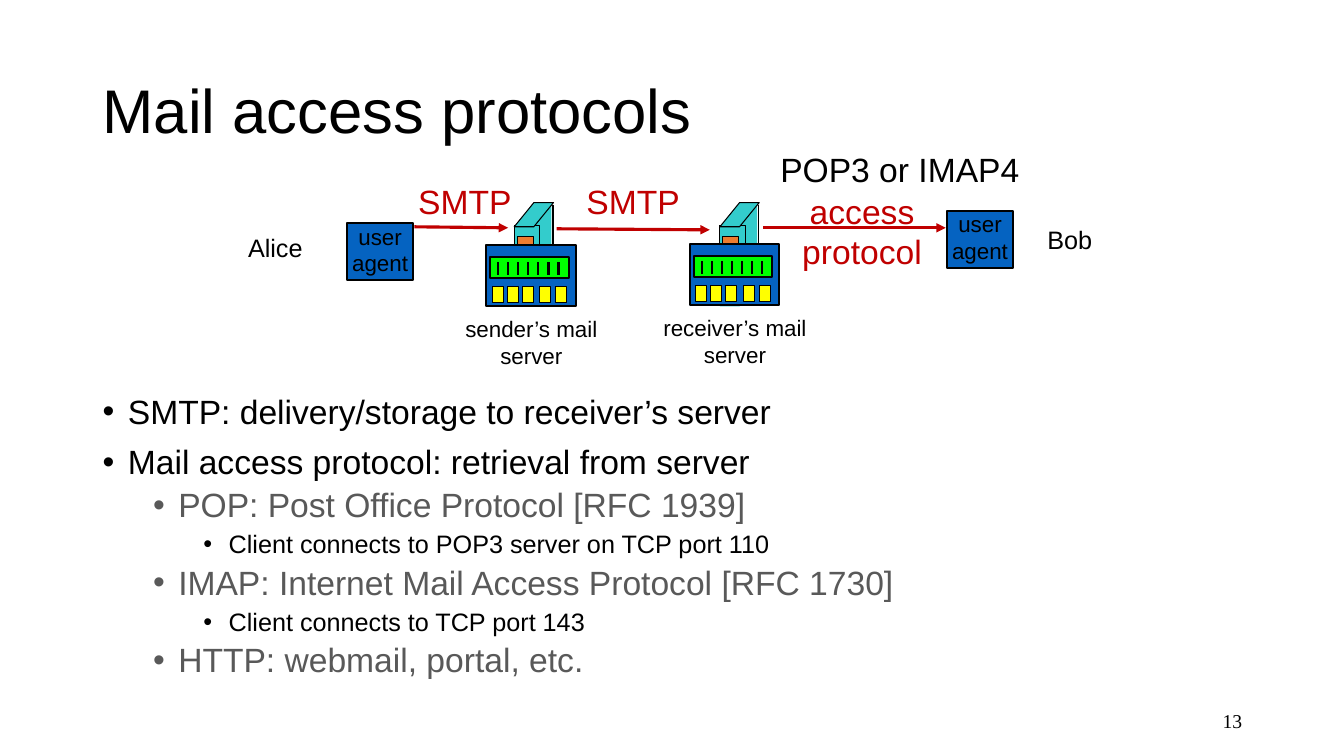
from pptx import Presentation, util as u
from pptx.dml.color import RGBColor
from pptx.enum import shapes, text
from pptx.oxml.ns import qn
from lxml import etree

BLACK, WHITE, RED, GRAY = "000000", "FFFFFF", "C00000", "595959"
BLUE, TEAL, GREEN, YELLOW, ORANGE = "0563C1", "33CCCC", "00FF00", "FFFF00", "ED7D31"
RECTANGLE = shapes.MSO_SHAPE.RECTANGLE
PARALLELOGRAM = shapes.MSO_SHAPE.PARALLELOGRAM
LEFT, CENTER, RIGHT = text.PP_ALIGN.LEFT, text.PP_ALIGN.CENTER, text.PP_ALIGN.RIGHT
TOP, MIDDLE = text.MSO_ANCHOR.TOP, text.MSO_ANCHOR.MIDDLE


def color(value):
    return RGBColor.from_string(value)


def format_paragraph(paragraph, content, size=18, font="Arial", ink=BLACK,
                     align=LEFT, line_spacing=None, before=0, bullet_indent=None):
    """Fill a paragraph; bullet_indent is the left edge of bulleted text in inches."""
    paragraph.text = content
    paragraph.alignment = align
    paragraph.space_before = u.Pt(before)
    if line_spacing:
        paragraph.line_spacing = line_spacing
    if bullet_indent is not None:
        properties = paragraph._p.get_or_add_pPr()
        properties.set("marL", str(u.Inches(bullet_indent)))
        properties.set("indent", str(u.Inches(-0.25)))
        etree.SubElement(properties, qn("a:buFont")).set("typeface", "Arial")
        etree.SubElement(properties, qn("a:buChar")).set("char", "•")
    paragraph.font.size = u.Pt(size)
    paragraph.font.name = font
    paragraph.font.color.rgb = color(ink)


class MailSlide:
    """Holds the slide and draws the elements of the mail diagram on it."""

    def __init__(self, slide):
        self.slide = slide

    def text_box(self, left, top, width, height, lines, anchor=TOP, wrap=True, **style):
        """Each line is a string, or a pair of a string and its own format."""
        shape = self.slide.shapes.add_textbox(*map(u.Inches, (left, top, width, height)))
        frame = shape.text_frame
        frame.word_wrap = wrap
        frame.vertical_anchor = anchor
        for index, line in enumerate(lines):
            content, own_style = (line, {}) if isinstance(line, str) else line
            paragraph = frame.add_paragraph() if index else frame.paragraphs[0]
            format_paragraph(paragraph, content, **{**style, **own_style})

    def label(self, left, top, width, height, *lines, size=16, ink=BLACK):
        self.text_box(left, top, width, height, lines, wrap=False,
                      size=size, ink=ink, align=CENTER)

    def block(self, left, top, width, height, fill, outline=None, kind=RECTANGLE):
        """Draw a filled shape; outline is the black line's width in points."""
        shape = self.slide.shapes.add_shape(kind, *map(u.Inches, (left, top, width, height)))
        shape.shadow.inherit = False
        shape.fill.solid()
        shape.fill.fore_color.rgb = color(fill)
        if outline:
            shape.line.color.rgb = color(BLACK)
            shape.line.width = u.Pt(outline)
        else:
            shape.line.fill.background()
        if kind == PARALLELOGRAM:
            shape.adjustments[0] = 0.814

    def line(self, x1, y1, x2, y2, width=0.75, ink=BLACK, arrow=False):
        connector = self.slide.shapes.add_connector(
            shapes.MSO_CONNECTOR.STRAIGHT, *map(u.Inches, (x1, y1, x2, y2)))
        connector.line.color.rgb = color(ink)
        connector.line.width = u.Pt(width)
        if arrow:
            etree.SubElement(connector.line._get_or_add_ln(), qn("a:tailEnd")).set("type", "triangle")
        etree.SubElement(connector._element.spPr, qn("a:effectLst"))

    def arrow(self, x1, y1, x2, y2):
        self.line(x1, y1, x2, y2, width=2.25, ink=RED, arrow=True)

    def user_agent(self, left, top):
        self.block(left, top, 0.66, 0.57, BLUE, 1.5)
        self.label(left - 0.06, top - 0.05, 0.78, 0.64, "user", "agent")

    def tower(self, left):
        """Draw the building behind a mail server."""
        top, right = 2.01, left + 0.385
        self.block(left, 2.8, 0.39, 0.24, TEAL, kind=PARALLELOGRAM)
        self.block(left + 0.19, top, 0.18, 0.78, TEAL)
        self.block(left, 2.24, 0.25, 0.78, TEAL, 0.75)
        self.block(left, top, 0.39, 0.24, TEAL, 0.75, PARALLELOGRAM)
        self.line(right, 2.03, right, 2.8)
        self.line(right, 2.8, left + 0.24, 3.03)
        self.block(left + 0.03, 2.35, 0.16, 0.45, ORANGE, 0.75)

    def server(self, left, top):
        """Draw the server front: a message queue above a row of mailboxes."""
        self.block(left, top, 0.89, 0.61, BLUE, 1.5)
        self.block(left + 0.04, top + 0.12, 0.78, 0.21, GREEN, 1.5)
        for index in range(7):
            x = left + 0.12 + 0.1 * index
            self.line(x, top + 0.17, x, top + 0.3, width=1.5)
        for offset in (0.06, 0.21, 0.36, 0.53, 0.69):
            self.block(left + offset, top + 0.41, 0.11, 0.16, YELLOW, 0.75)

    def smtp_label(self, left):
        self.block(left + 0.1, 1.82, 0.94, 0.33, WHITE)
        self.label(left, 1.75, 1.14, 0.5, "SMTP", size=24, ink=RED)


def main():
    presentation = Presentation()
    presentation.slide_width = u.Inches(13.33)
    presentation.slide_height = u.Inches(7.5)
    mail = MailSlide(presentation.slides.add_slide(presentation.slide_layouts[6]))

    mail.text_box(0.92, 0.4, 11.5, 1.45, ["Mail access protocols"],
                  anchor=MIDDLE, size=44, line_spacing=0.9)

    mail.arrow(4.11, 2.25, 5.04, 2.26)
    mail.tower(5.1)
    mail.smtp_label(4.04)
    mail.server(4.82, 2.43)
    mail.label(4.47, 3.08, 1.6, 0.64, "sender’s mail", "server")

    mail.tower(7.14)
    mail.arrow(5.52, 2.27, 7.04, 2.28)
    mail.smtp_label(5.71)
    mail.server(6.84, 2.42)
    mail.label(6.41, 3.07, 1.76, 0.64, "receiver’s mail", "server")

    mail.arrow(7.57, 2.26, 9.38, 2.26)
    mail.label(7.85, 1.84, 1.4, 0.91, "access", "protocol", size=24, ink=RED)
    mail.label(7.59, 1.43, 2.67, 0.5, "POP3 or IMAP4", size=24)

    mail.user_agent(3.44, 2.21)
    mail.user_agent(9.39, 2.09)
    mail.text_box(0.97, 2.26, 2.13, 0.4, ["Alice"], align=RIGHT)
    mail.text_box(10.29, 2.18, 2.13, 0.4, ["Bob"])

    first = dict(size=24, bullet_indent=0.25)
    topic = dict(first, before=10)
    protocol = dict(size=24, ink=GRAY, before=5, bullet_indent=0.75)
    detail = dict(size=18, before=5, bullet_indent=1.25)
    mail.text_box(0.92, 3.87, 11.5, 3.05, [
        ("SMTP: delivery/storage to receiver’s server", first),
        ("Mail access protocol: retrieval from server", topic),
        ("POP: Post Office Protocol [RFC 1939]", protocol),
        ("Client connects to POP3 server on TCP port 110", detail),
        ("IMAP: Internet Mail Access Protocol [RFC 1730]", protocol),
        ("Client connects to TCP port 143", detail),
        ("HTTP: webmail, portal, etc.", protocol),
    ], line_spacing=0.9)

    mail.text_box(9.42, 6.95, 3, 0.4, ["13"], anchor=MIDDLE,
                  size=14, font="Times New Roman", align=RIGHT)
    presentation.save("out.pptx")


if __name__ == "__main__":
    main()
